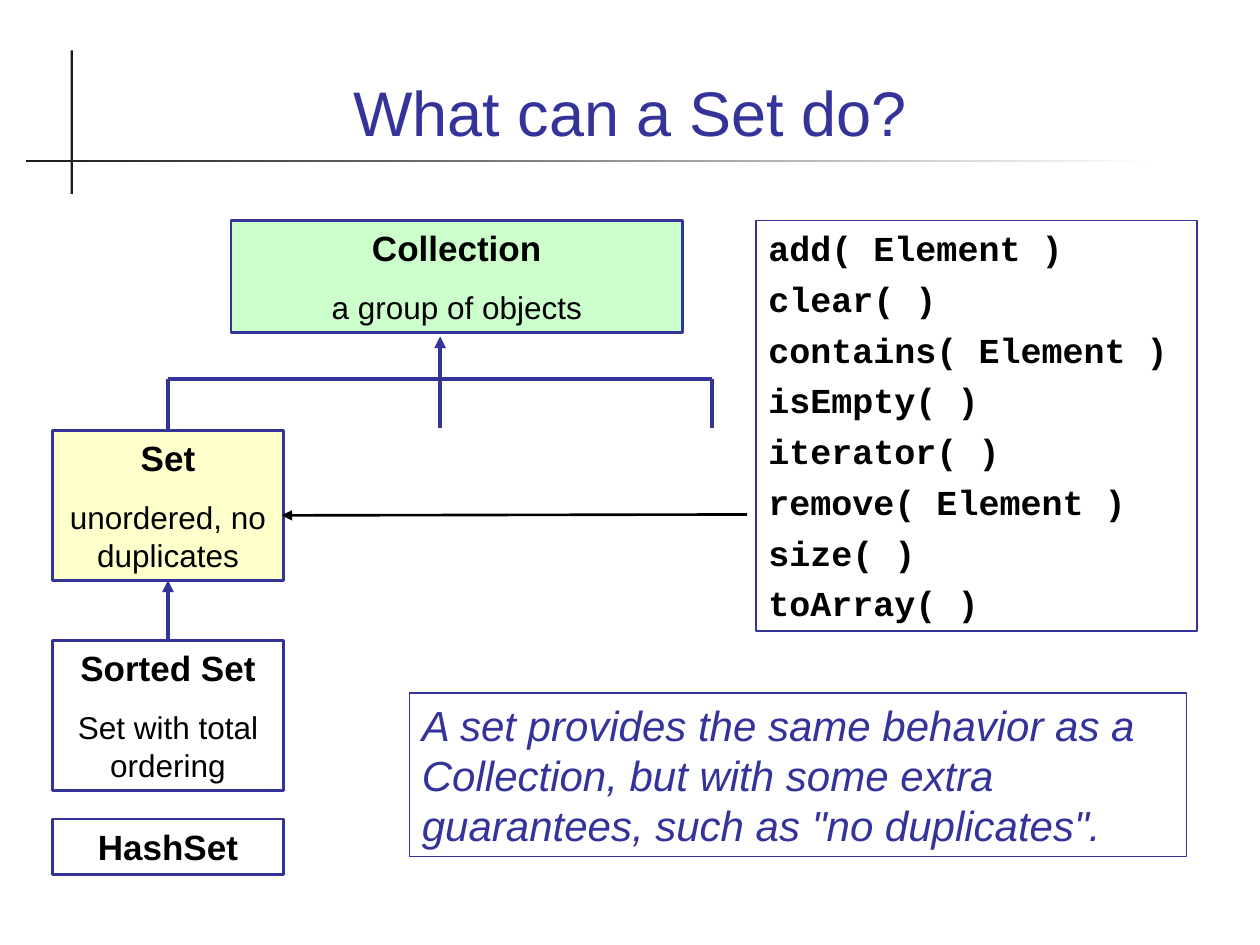
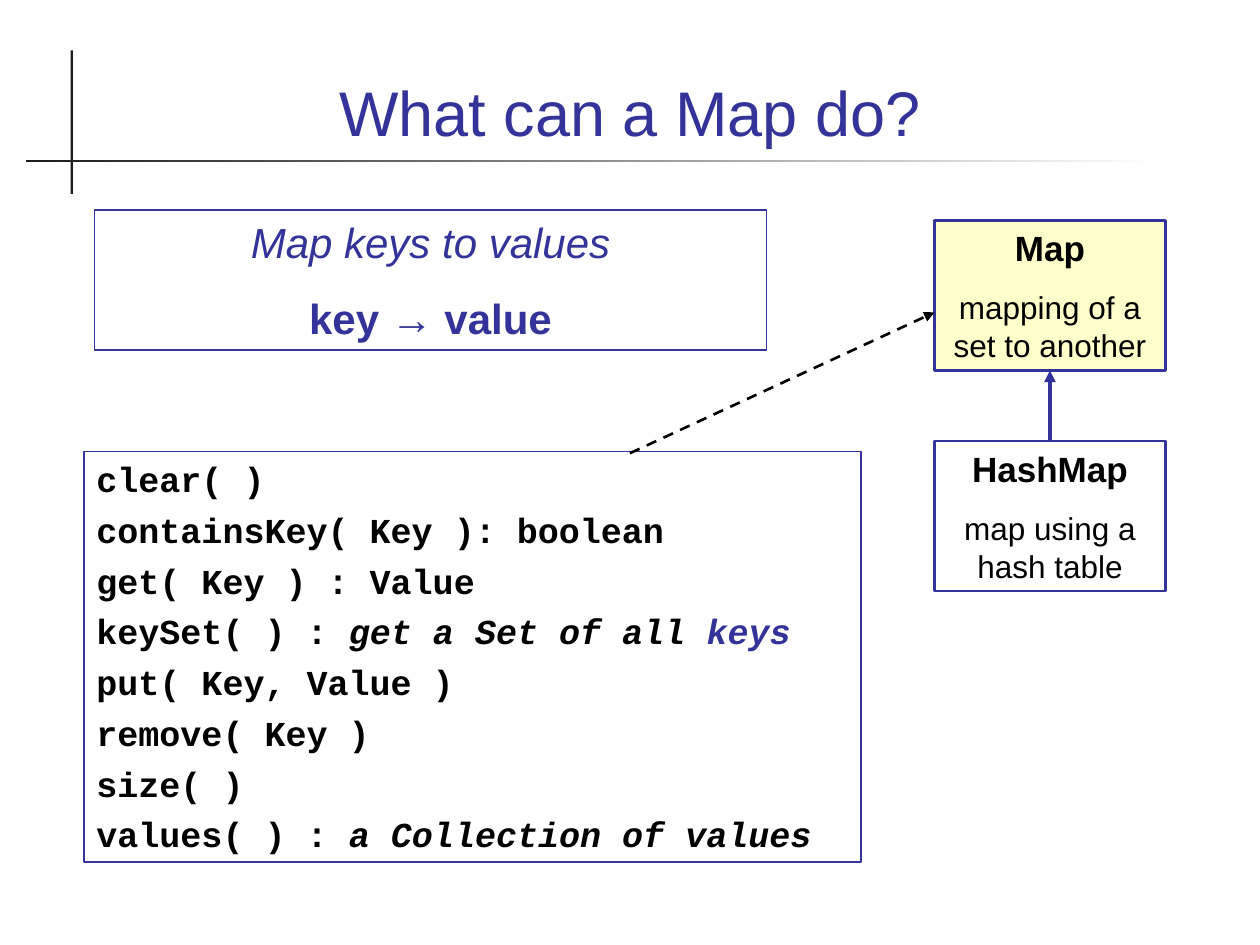
from lxml import etree
from pptx import Presentation
from pptx.dml.color import RGBColor
from pptx.enum import dml, shapes, text
from pptx.oxml import ns
from pptx.util import Pt

COLORS = {"navy": "333399", "green": "CCFFCC", "yellow": "FFFFCC",
          "black": "000000", "rule": "1C1C1C", "white": "FFFFFF"}
BODY, CODE = "Arial", "Courier New"
LEADING = 1.2
CLASS_WIDTH, CLASS_HEIGHT = 132, 85.7
LEFT, CENTER = text.PP_ALIGN.LEFT, text.PP_ALIGN.CENTER


def rgb(name):
    return RGBColor.from_string(COLORS[name])


def add_text(frame, content, size=20, font=BODY, color="black", bold=False,
             italic=False, align=LEFT, before=0, first=True):
    """Add one paragraph; content is a string or a list of (string, overrides)."""
    paragraph = frame.paragraphs[0] if first else frame.add_paragraph()
    paragraph.alignment = align
    paragraph.line_spacing = Pt(size * LEADING)
    paragraph.space_before = Pt(0 if first else before)
    runs = [(content, {})] if isinstance(content, str) else content
    for words, overrides in runs:
        look = {"color": color, "bold": bold, "italic": italic, **overrides}
        run = paragraph.add_run()
        run.text = words
        run.font.name, run.font.size = font, Pt(size)
        run.font.bold, run.font.italic = look["bold"], look["italic"]
        run.font.color.rgb = rgb(look["color"])


def add_box(slide, left, top, width, height, fill=None, border=None):
    box = slide.shapes.add_shape(shapes.MSO_SHAPE.RECTANGLE, Pt(left), Pt(top),
                                 Pt(width), Pt(height))
    box.shadow.inherit = False
    if fill:
        box.fill.solid()
        box.fill.fore_color.rgb = rgb(fill)
    else:
        box.fill.background()
    if border:
        box.line.color.rgb = rgb("navy")
        box.line.width = Pt(border)
    else:
        box.line.fill.background()
    box.text_frame.word_wrap = True
    box.text_frame.vertical_anchor = text.MSO_ANCHOR.TOP
    return box


def add_line(slide, start, end, color="navy", width=2.25, arrow=False, dashed=False):
    """Draw a line; each end is an (x, y) point or a (shape, side) joint."""
    joints = [isinstance(spot[0], (int, float)) for spot in (start, end)]
    x1, y1 = start if joints[0] else (0, 0)
    x2, y2 = end if joints[1] else (0, 0)
    line = slide.shapes.add_connector(shapes.MSO_CONNECTOR.STRAIGHT,
                                      Pt(x1), Pt(y1), Pt(x2), Pt(y2))
    if not joints[0]:
        line.begin_connect(*start)
    if not joints[1]:
        line.end_connect(*end)
    line.line.color.rgb = rgb(color)
    line.line.width = Pt(width)
    if dashed:
        line.line.dash_style = dml.MSO_LINE.DASH
    if arrow:
        etree.SubElement(line.line._get_or_add_ln(), ns.qn("a:tailEnd"), type="triangle")
    etree.SubElement(line._element.spPr, ns.qn("a:effectLst"))


def add_titled_slide(deck, title):
    slide = deck.slides.add_slide(deck.slide_layouts[6])
    add_box(slide, 40.3, 28.8, 1.4, 82, fill="rule")
    rule = add_box(slide, 15, 91.4, 646.5, 1.4)
    rule.fill.gradient()
    rule.fill.gradient_angle = 0
    for stop, color in zip(rule.fill.gradient_stops, ("rule", "white")):
        stop.color.rgb = rgb(color)
    heading = slide.shapes.add_textbox(Pt(48), Pt(20), Pt(624), Pt(68.5)).text_frame
    heading.word_wrap = True
    heading.vertical_anchor = text.MSO_ANCHOR.BOTTOM
    add_text(heading, title, size=36, color="navy", align=CENTER)
    return slide


def add_class(slide, left, top, name, summary=None, fill=None,
              width=CLASS_WIDTH, height=CLASS_HEIGHT):
    box = add_box(slide, left, top, width, height, fill, border=1.5)
    add_text(box.text_frame, name, bold=True, align=CENTER)
    if summary:
        add_text(box.text_frame, summary, size=18, align=CENTER, before=11.2, first=False)
    return box


def add_methods(slide, left, top, width, methods):
    frame = add_box(slide, left, top, width, 234.6, border=0.75).text_frame
    for index, method in enumerate(methods):
        add_text(frame, method, font=CODE, bold=True, before=5, first=index == 0)


def add_note(slide, left, top, width, height, lines, align=LEFT):
    frame = add_box(slide, left, top, width, height, border=0.75).text_frame
    for index, line in enumerate(lines):
        add_text(frame, line, size=24, color="navy", italic=True, align=align,
                 before=15, first=index == 0)


def add_branches(slide, left, top, first_child, spread=155.5, drop=28):
    """Join three child positions by a bar with an arrow up to the parent."""
    middle, right = left + spread, left + 2 * spread
    add_line(slide, (left, top), (right, top))
    add_line(slide, (middle, top), (middle, top - 24.5), arrow=True)
    add_line(slide, (left, top), (first_child, 0))
    for x in (middle, right):
        add_line(slide, (x, top), (x, top + drop))


def add_set_family(slide, left, top):
    add_class(slide, left + 102, top, "Collection", "a group of objects",
              "green", width=258, height=64)
    set_class = add_class(slide, left, top + 120, "Set",
                          "unordered, no duplicates", "yellow")
    sorted_set = add_class(slide, left, top + 240, "Sorted Set", "Set with total ordering")
    add_class(slide, left, top + 342, "HashSet", height=31.7)
    add_branches(slide, left + CLASS_WIDTH / 2, top + 90.7, set_class)
    add_line(slide, (sorted_set, 0), (set_class, 2), arrow=True)


def add_map_family(slide, left, top):
    map_class = add_class(slide, left, top, "Map", "mapping of a set to another", "yellow")
    hash_map = add_class(slide, left, top + 126, "HashMap", "map using a hash table")
    add_line(slide, (hash_map, 0), (map_class, 2), arrow=True)


def build_set_slide(deck):
    slide = add_titled_slide(deck, "What can a Set do?")
    add_set_family(slide, 30, 126)
    add_methods(slide, 432, 126, 252, [
        "add( Element )", "clear( )", "contains( Element )", "isEmpty( )",
        "iterator( )", "remove( Element )", "size( )", "toArray( )"])
    add_line(slide, (427, 294), (161, 294.5), "black", 1.5, arrow=True)
    add_note(slide, 234, 396, 444, 93.6, [
        "A set provides the same behavior as a Collection, but with some extra "
        "guarantees, such as \"no duplicates\"."])


def build_map_slide(deck):
    slide = add_titled_slide(deck, "What can a Map do?")
    add_map_family(slide, 534, 126)
    add_methods(slide, 48, 258, 444, [
        "clear( )", "containsKey( Key ): boolean", "get( Key ) : Value",
        [("keySet( ) : ", {}), ("get a Set of all ", {"italic": True}),
         ("keys", {"italic": True, "color": "navy"})],
        "put( Key, Value )", "remove( Key )", "size( )",
        [("values( ) : ", {}), ("a Collection of values", {"italic": True})]])
    add_note(slide, 54, 120, 384, 80, [
        "Map keys to values",
        [("key → value", {"italic": False, "bold": True})]], align=CENTER)
    add_line(slide, (360, 259), (534, 178.5), "black", 1.5, arrow=True, dashed=True)


def main():
    deck = Presentation()
    deck.slide_width, deck.slide_height = Pt(720), Pt(540)
    build_set_slide(deck)
    build_map_slide(deck)
    deck.save("out.pptx")


if __name__ == "__main__":
    main()
